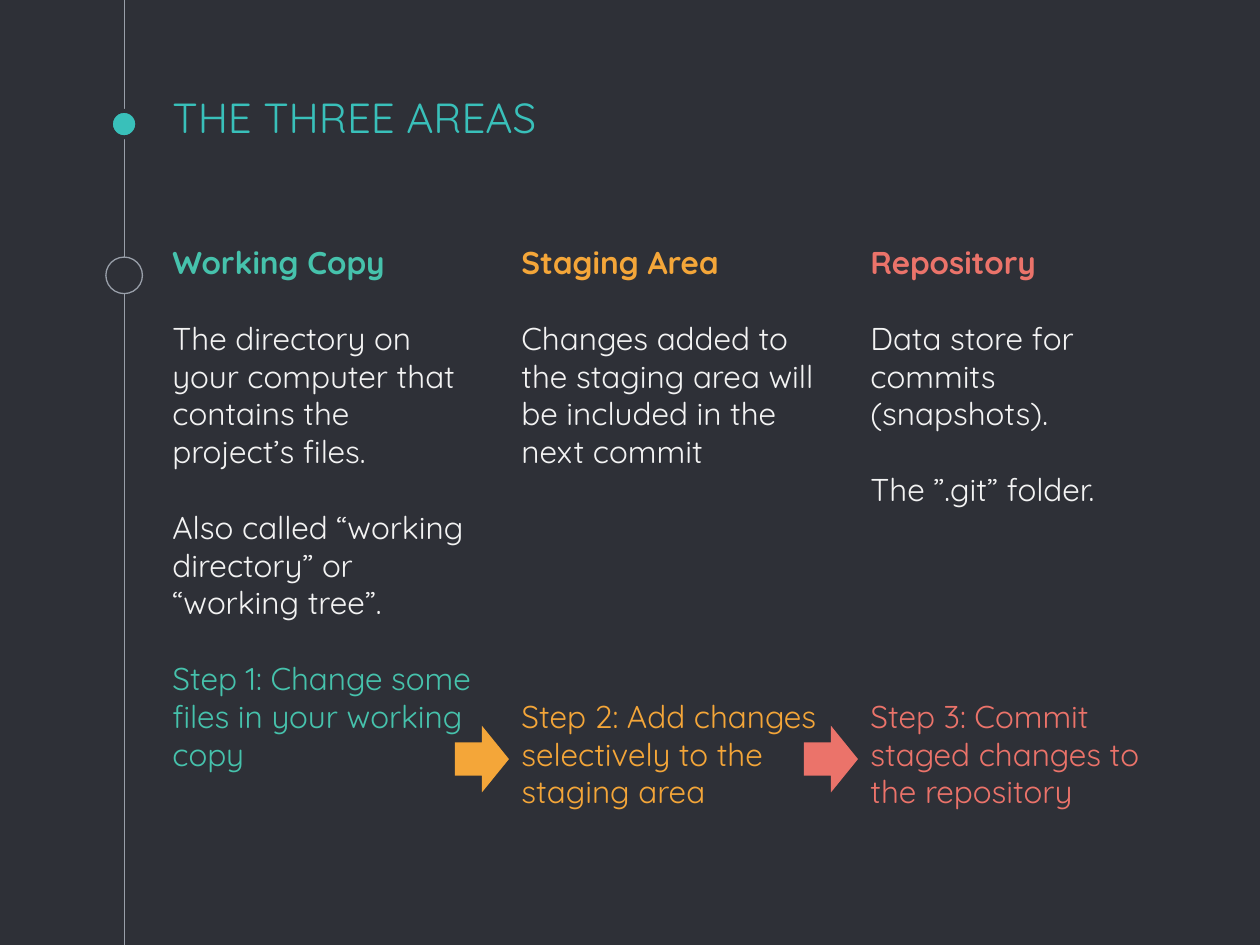
from dataclasses import dataclass

from lxml.etree import SubElement
from pptx import Presentation
from pptx.dml.color import RGBColor
from pptx.enum.shapes import MSO_CONNECTOR, MSO_SHAPE
from pptx.enum.text import MSO_ANCHOR
from pptx.oxml.ns import qn
from pptx.slide import Slide
from pptx.util import Inches, Pt

DARK = RGBColor(0x2E, 0x30, 0x37)
GRAY = RGBColor(0x99, 0x9F, 0xA9)
TEAL = RGBColor(0x39, 0xC0, 0xBA)
GREEN = RGBColor(0x46, 0xC2, 0xAC)
ORANGE = RGBColor(0xF4, 0xA6, 0x39)
RED = RGBColor(0xEB, 0x73, 0x6A)
WHITE = RGBColor(0xF3, 0xF3, 0xF3)

LINE_PITCH = 21.6
TEXT_LEFT, COLUMN_PITCH = 1.27, 2.77
COLUMN_TOP, COLUMN_WIDTH, COLUMN_HEIGHT = 1.83, 2.63, 5.35
ARROW_WIDTH, ARROW_HEIGHT, ARROW_TOP = 0.43, 0.53, 5.76

AREAS = [
    ("Working Copy", GREEN,
     ["The directory on your computer that contains the project’s files.",
      "Also called “working directory” or “working tree”."],
     "Step 1: Change some files in your working copy", 1),
    ("Staging Area", ORANGE,
     ["Changes added to the staging area will be included in the next commit"],
     "Step 2: Add changes selectively to the staging area", 6),
    ("Repository", RED,
     ["Data store for commits (snapshots).", "The ”.git” folder."],
     "Step 3: Commit staged changes to the repository", 5),
]


def write(p, text, font="Quicksand", size=18, color=WHITE, bold=False, gap=0):
    """Write formatted text into a paragraph, with a gap in lines above it."""
    p.space_before = Pt(gap * LINE_PITCH)
    r = p.add_run()
    r.text = text
    r.font.name = font
    r.font.size = Pt(size)
    r.font.bold = bold
    r.font.color.rgb = color


@dataclass
class Deck:
    """Holds the slide and its style, and draws each kind of element."""

    s: Slide
    background: RGBColor = DARK
    inset: float = 0.1

    def paint(self):
        """Fill the slide background."""
        fill = self.s.background.fill
        fill.solid()
        fill.fore_color.rgb = self.background

    def line(self, x1, y1, x2, y2, color, width):
        """Draw a straight line."""
        c = self.s.shapes.add_connector(
            MSO_CONNECTOR.STRAIGHT, Inches(x1), Inches(y1), Inches(x2), Inches(y2))
        c.line.color.rgb = color
        c.line.width = Pt(width)
        SubElement(c._element.spPr, qn("a:effectLst"))

    def shape(self, kind, x, y, w, h, fill, line=None, width=0.75):
        """Draw a filled preset shape, outlined if a line colour is given."""
        sp = self.s.shapes.add_shape(kind, Inches(x), Inches(y), Inches(w), Inches(h))
        sp.shadow.inherit = False
        sp.fill.solid()
        sp.fill.fore_color.rgb = fill
        if line is None:
            sp.line.fill.background()
        else:
            sp.line.color.rgb = line
            sp.line.width = Pt(width)

    def text(self, x, y, w, h, items, anchor=MSO_ANCHOR.TOP):
        """Add a text box with one paragraph per (text, format) pair."""
        tf = self.s.shapes.add_textbox(
            Inches(x), Inches(y), Inches(w), Inches(h)).text_frame
        tf.word_wrap = True
        tf.vertical_anchor = anchor
        tf.margin_left = tf.margin_right = Inches(self.inset)
        tf.margin_top = tf.margin_bottom = Inches(self.inset)
        for i, (text, style) in enumerate(items):
            p = tf.add_paragraph() if i else tf.paragraphs[0]
            write(p, text, **style)


def main():
    """Build the slide and save it."""
    prs = Presentation()
    prs.slide_width, prs.slide_height = Inches(10), Inches(7.5)
    deck = Deck(prs.slides.add_slide(prs.slide_layouts[6]))
    deck.paint()
    deck.line(0.99, 0, 0.99, 7.5, GRAY, 0.75)
    deck.shape(MSO_SHAPE.OVAL, 0.88, 0.88, 0.21, 0.21, TEAL, DARK, 2.25)
    deck.shape(MSO_SHAPE.OVAL, 0.84, 2.04, 0.29, 0.29, DARK, GRAY)
    deck.text(TEXT_LEFT, 0.73, 7.5, 0.5,
              [("THE THREE AREAS", {"size": 24, "color": TEAL})], MSO_ANCHOR.BOTTOM)

    for i, (name, color, notes, step, gap) in enumerate(AREAS):
        left = TEXT_LEFT + i * COLUMN_PITCH
        items = [(name, {"color": color, "bold": True})]
        items += [(note, {"gap": 1}) for note in notes]
        items.append((step, {"color": color, "gap": gap}))
        deck.text(left, COLUMN_TOP, COLUMN_WIDTH, COLUMN_HEIGHT, items)
        if i:
            deck.shape(MSO_SHAPE.RIGHT_ARROW, left - ARROW_WIDTH, ARROW_TOP,
                       ARROW_WIDTH, ARROW_HEIGHT, color)

    prs.save("out.pptx")


if __name__ == "__main__":
    main()
